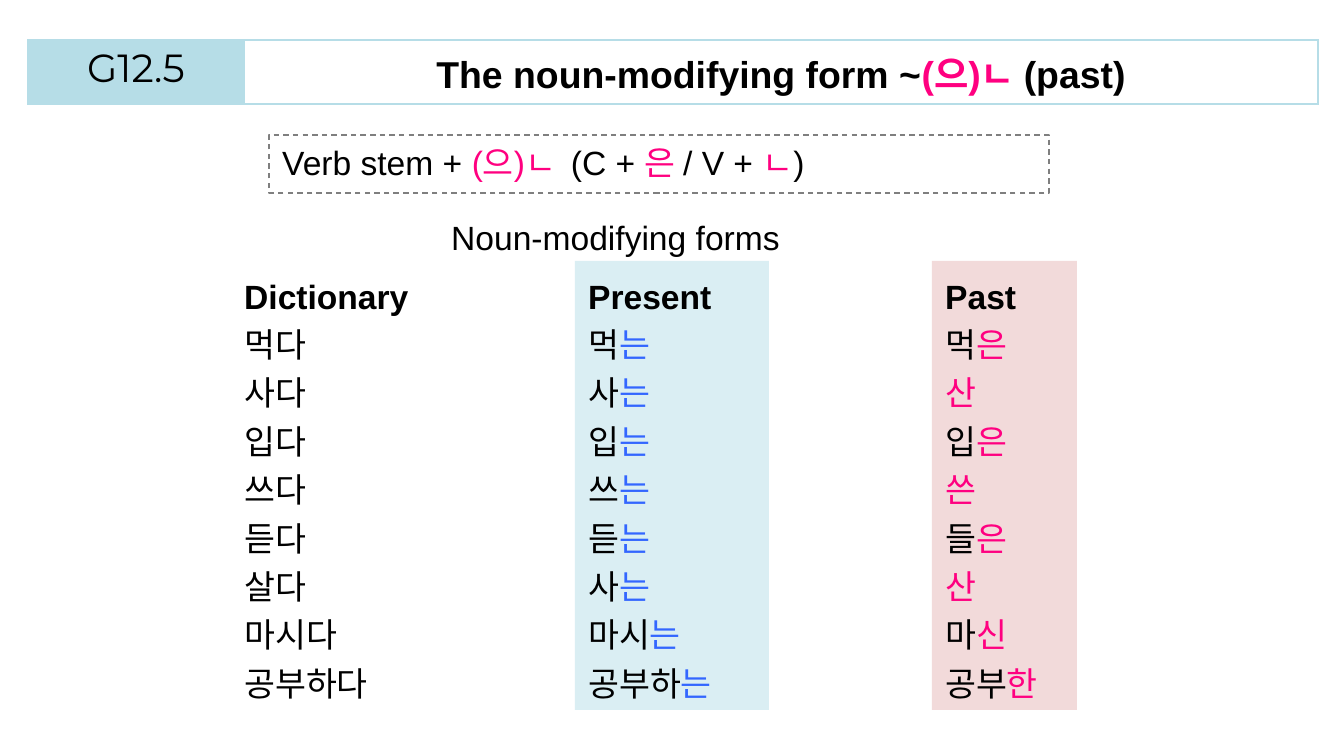
import pptx
import pptx.util
import pptx.dml.color
import pptx.enum.dml
import pptx.enum.shapes
import pptx.enum.text
import pptx.oxml

PX = 914400 / 134.4
COLORS = {
    "black": "000000", "pink": "FF0080", "blue": "3366FF", "gray": "7F7F7F",
    "header": "B6DDE7", "present": "DAEEF3", "past": "F2DADA",
}
NS = 'xmlns:a="http://schemas.openxmlformats.org/drawingml/2006/main"'


def px(n):
    return pptx.util.Emu(round(n * PX))


def rgb(name):
    return pptx.dml.color.RGBColor.from_string(COLORS[name])


class Deck:
    font = "Arial"
    size = 18

    def __init__(self, width, height):
        self.prs = pptx.Presentation()
        self.prs.slide_width, self.prs.slide_height = px(width), px(height)
        self.s = self.prs.slides.add_slide(self.prs.slide_layouts[6])

    def paragraph(self, p, runs, bold=False, size=None, font=None, align="LEFT"):
        """Fill p with (text, color) runs."""
        p.alignment = getattr(pptx.enum.text.PP_ALIGN, align)
        p.font.name, p.font.size = font or self.font, pptx.util.Pt(size or self.size)
        p.font.bold = bold
        for text, color in runs:
            r = p.add_run()
            r.text = text
            r.font.color.rgb = rgb(color)

    def lines(self, sp, lines, heading=False, spacing=None):
        """Write one paragraph per line; a heading makes the first one bold."""
        tf = sp.text_frame
        tf.word_wrap = True
        tf.vertical_anchor = pptx.enum.text.MSO_ANCHOR.TOP
        for i, runs in enumerate(lines):
            p = tf.add_paragraph() if i else tf.paragraphs[0]
            self.paragraph(p, runs, bold=heading and i == 0)
            if spacing:
                p.line_spacing = spacing

    def text(self, box, lines, **style):
        self.lines(self.s.shapes.add_textbox(*map(px, box)), lines, **style)

    def rect(self, box, lines, fill=None, dash=None, **style):
        kind = pptx.enum.shapes.MSO_SHAPE.RECTANGLE
        sp = self.s.shapes.add_shape(kind, *map(px, box))
        sp.shadow.inherit = False
        if fill:
            sp.fill.solid()
            sp.fill.fore_color.rgb = rgb(fill)
        else:
            sp.fill.background()
        if dash:
            sp.line.color.rgb = rgb(dash)
            sp.line.width = pptx.util.Pt(0.75)
            sp.line.dash_style = pptx.enum.dml.MSO_LINE.DASH
        else:
            sp.line.fill.background()
        self.lines(sp, lines, **style)

    def table(self, box, widths):
        frame = self.s.shapes.add_table(1, len(widths), *map(px, box))
        table = frame.table
        table.first_row = table.horz_banding = False
        for column, width in zip(table.columns, widths):
            column.width = px(width)
        return table

    def cell(self, cell, runs, border, fill=None, **style):
        cell.margin_top = cell.margin_bottom = px(5)
        tc_pr = cell._tc.get_or_add_tcPr()
        for side in "LRTB":
            tc_pr.append(pptx.oxml.parse_xml(
                f'<a:ln{side} {NS} w="12700"><a:solidFill>'
                f'<a:srgbClr val="{COLORS[border]}"/></a:solidFill></a:ln{side}>'))
        if fill:
            cell.fill.solid()
            cell.fill.fore_color.rgb = rgb(fill)
        else:
            cell.fill.background()
        self.paragraph(cell.text_frame.paragraphs[0], runs, align="CENTER", **style)


def forms(heading, words, color):
    """Heading, then each stem in black with its ending in color."""
    lines = [[(heading, "black")]]
    for stem, ending in words:
        lines.append([run for run in ((stem, "black"), (ending, color)) if run[0]])
    return lines


DICTIONARY = ["먹다", "사다", "입다", "쓰다", "듣다", "살다", "마시다", "공부하다"]
PRESENT = ["먹", "사", "입", "쓰", "듣", "사", "마시", "공부하"]
PAST = [("먹", "은"), ("", "산"), ("입", "은"), ("", "쓴"),
        ("들", "은"), ("", "산"), ("마", "신"), ("공부", "한")]


def main():
    deck = Deck(1344, 756)

    # Title bar
    table = deck.table((28, 40, 1290, 55), (216, 1074))
    deck.cell(table.cell(0, 0), [("G12.5", "black")], "header", fill="header",
              size=21, font="Montserrat")
    deck.cell(table.cell(0, 1), [("The noun-modifying form ~", "black"),
                                 ("(으)ㄴ ", "pink"), ("(past)", "black")],
              "header", size=20, bold=True)

    # Verb form columns
    top, height = 261, 449
    column = {"heading": True, "spacing": 1.2}
    deck.text((231, top, 250, height),
              forms("Dictionary", [(word, "") for word in DICTIONARY], "black"), **column)
    deck.rect((575, top, 194, height),
              forms("Present", [(stem, "는") for stem in PRESENT], "blue"),
              fill="present", **column)
    deck.rect((932, top, 145, height), forms("Past", PAST, "pink"),
              fill="past", **column)
    deck.text((438, 210, 469, 51), [[("Noun-modifying forms", "black")]])

    # Formation rule
    deck.rect((269, 135, 780, 58), [[
        ("Verb stem + ", "black"), ("(으)ㄴ  ", "pink"), ("(C + ", "black"),
        ("은", "pink"), (" / V + ", "black"), ("ㄴ", "pink"), (")", "black"),
    ]], dash="gray")

    deck.prs.save("out.pptx")


if __name__ == "__main__":
    main()
